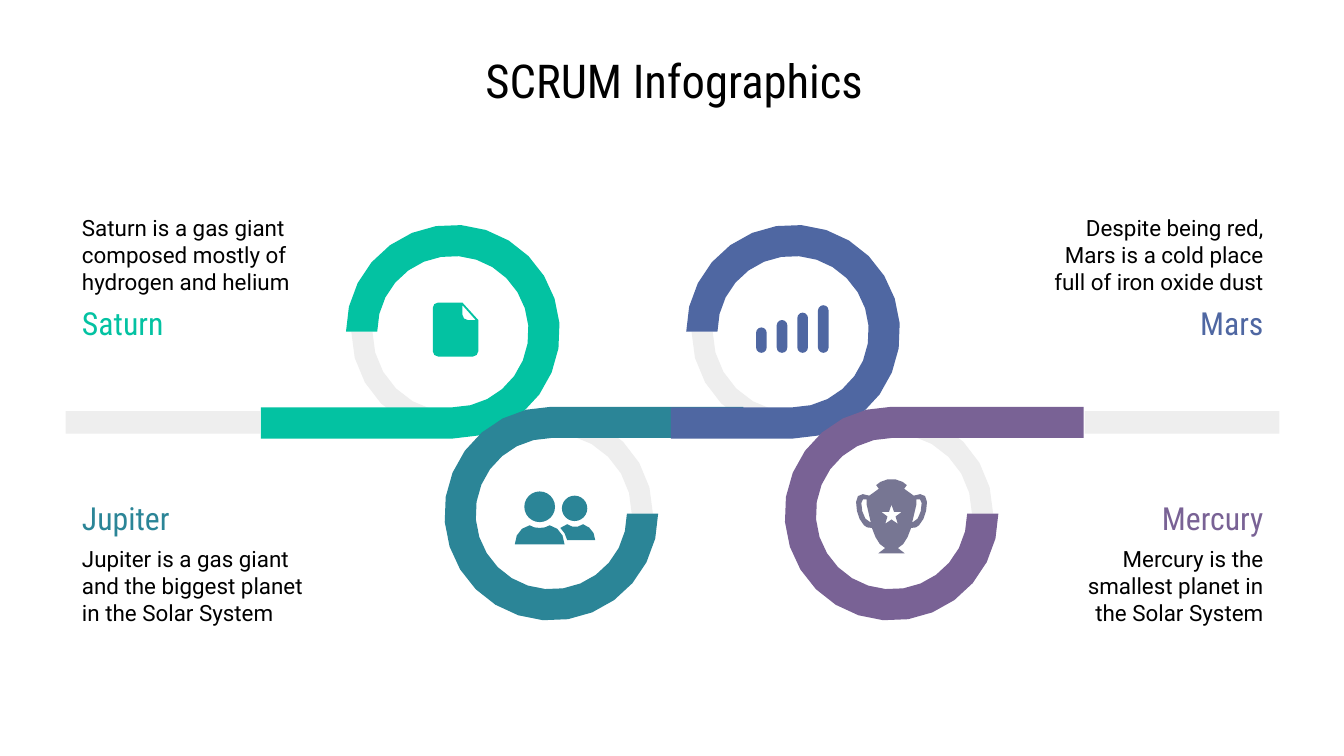
from dataclasses import dataclass
from math import cos, radians, sin

from pptx import Presentation
from pptx.dml.color import RGBColor
from pptx.enum.shapes import MSO_SHAPE as Shape
from pptx.enum.text import MSO_ANCHOR as Anchor, PP_ALIGN as Align
from pptx.util import Cm, Pt


@dataclass(frozen=True)
class Theme:
    text: str = "000000"
    track: str = "EEEEEE"
    saturn: str = "03C2A2"
    jupiter: str = "2B8597"
    mars: str = "4F67A2"
    mercury: str = "796295"
    trophy: str = "777693"
    head_font: str = "Roboto Condensed"
    body_font: str = "Roboto"
    title_size: float = 25
    head_size: float = 17
    body_size: float = 12


@dataclass(frozen=True)
class Box:
    """A region of the slide, in centimetres."""
    x: float
    y: float
    w: float
    h: float

    @property
    def centre(self):
        return self.x + self.w / 2, self.y + self.h / 2

    def lengths(self):
        return [Cm(v) for v in (self.x, self.y, self.w, self.h)]


THEME = Theme()
LOOP_R, LOOP_HOLE = 2.02, 1.43
TRACK_R, TRACK_HOLE = 1.92, 1.52


# --- Geometry and drawing helpers ---

def arc(cx, cy, r, start, end, steps):
    angles = [radians(start + (end - start) * i / steps) for i in range(steps + 1)]
    return [(cx + r * cos(a), cy + r * sin(a)) for a in angles]


def curve(a, b, c, d, steps=3):
    """Points along a cubic Bezier curve, without its start."""
    ts = [i / steps for i in range(1, steps + 1)]
    return [tuple((1 - t) ** 3 * p + 3 * t * (1 - t) ** 2 * q
                  + 3 * t * t * (1 - t) * u + t ** 3 * v
                  for p, q, u, v in zip(a, b, c, d)) for t in ts]


def mirror(points):
    return [(-x, y) for x, y in reversed(points)]


def paint(sp, color):
    sp.shadow.inherit = False
    sp.fill.solid()
    sp.fill.fore_color.rgb = RGBColor.from_string(color)
    sp.line.fill.background()


def add_outline(shapes, origin, contours, color):
    """Fill one freeform; contours after the first are holes."""
    ox, oy = origin
    paths = [[(Cm(ox + x), Cm(oy + y)) for x, y in c] for c in contours]
    builder = shapes.build_freeform(*paths[0][0])
    for i, points in enumerate(paths):
        if i:
            builder.move_to(*points[0])
        builder.add_line_segments(points[1:], close=True)
    paint(builder.convert_to_shape(), color)


def add_preset(shapes, kind, box, color):
    sp = shapes.add_shape(kind, *box.lengths())
    paint(sp, color)
    return sp


def write(sp, text, font, size, color, align):
    tf = sp.text_frame
    tf.word_wrap = True
    tf.vertical_anchor = Anchor.MIDDLE
    tf.margin_left = tf.margin_right = tf.margin_top = tf.margin_bottom = Cm(0.25)
    p = tf.paragraphs[0]
    p.alignment = align
    for i, line in enumerate(text.split("\n")):
        if i:
            p.add_line_break()
        r = p.add_run()
        r.text = line
        r.font.name, r.font.size = font, Pt(size)
        r.font.color.rgb = RGBColor.from_string(color)


# --- Icons, each centred in its box ---

def document_icon(shapes, box, color):
    page = (arc(-0.28, -0.45, 0.1, 180, 270, 2) + [(0.18, -0.55), (0.48, -0.22)]
            + arc(0.38, 0.37, 0.1, 0, 90, 2) + arc(-0.28, 0.37, 0.1, 90, 180, 2))
    fold = [(0.18, -0.5), (0.43, -0.22)] + arc(0.28, -0.32, 0.1, 90, 180, 2)
    add_outline(shapes, box.centre, [page, fold], color)


def people_icon(shapes, box, color):
    cx, cy = box.centre
    for x, y, r in ((-0.22, -0.13, 0.29), (0.44, -0.1, 0.24)):
        add_preset(shapes, Shape.OVAL, Box(cx + x - r, cy + y - r, 2 * r, 2 * r), color)
    shoulder = [(0, 0.27), (0.1, 0.26), (0.19, 0.22)] \
        + curve((0.19, 0.22), (0.35, 0.25), (0.47, 0.4), (0.47, 0.58))
    add_outline(shapes, (cx - 0.22, cy), [shoulder + mirror(shoulder[1:])], color)
    behind = ([(0.17, 0.27), (0.25, 0.37), (0.3, 0.5), (0.83, 0.5)]
              + curve((0.83, 0.5), (0.83, 0.36), (0.73, 0.24), (0.6, 0.2))
              + curve((0.6, 0.2), (0.5, 0.27), (0.4, 0.27), (0.3, 0.2)))
    add_outline(shapes, (cx, cy), [behind], color)


def bars_icon(shapes, box, color):
    cx, cy = box.centre
    for i in range(4):
        height = 0.48 + 0.14 * i
        bar = Box(cx - 0.7 + 0.39 * i, cy + 0.4 - height, 0.2, height)
        add_preset(shapes, Shape.ROUNDED_RECTANGLE, bar, color).adjustments[0] = 0.5


def trophy_icon(shapes, box, color):
    half = ([(0.07, -0.65), (0.21, -0.6), (0.29, -0.54), (0.24, -0.47), (0.42, -0.34)]
            + curve((0.42, -0.34), (0.55, -0.4), (0.67, -0.37), (0.67, -0.22))
            + curve((0.67, -0.22), (0.67, -0.05), (0.62, 0.12), (0.52, 0.22))
            + [(0.46, 0.26), (0.37, 0.27)]
            + curve((0.37, 0.27), (0.31, 0.46), (0.23, 0.61), (0.12, 0.65))
            + [(0.25, 0.75)])
    handle = ([(0.47, -0.27), (0.54, -0.27), (0.57, -0.2)]
              + curve((0.57, -0.2), (0.57, -0.05), (0.52, 0.14), (0.39, 0.17))
              + [(0.47, -0.17)])
    star = [arc(0, 0.03, 0.08 if i % 2 else 0.2, 36 * i - 90, 0, 1)[0] for i in range(10)]
    add_outline(shapes, box.centre, [half + mirror(half), handle, mirror(handle), star], color)


# --- Regions ---

def add_title(slide, box, text):
    sp = slide.shapes.title
    sp.left, sp.top, sp.width, sp.height = box.lengths()
    write(sp, text, THEME.head_font, THEME.title_size, THEME.text, Align.CENTER)


def add_track(shapes, box, loops):
    """Grey end bars and the grey quarter that completes each loop."""
    for x in (box.x, box.x + box.w - 3.68):
        add_preset(shapes, Shape.RECTANGLE, Box(x, box.y, 3.68, box.h), THEME.track)
    for loop, upper in loops:
        start = 90 if upper else 270
        quarter = (arc(0, 0, TRACK_R, start, start + 90, 6)
                   + arc(0, 0, TRACK_HOLE, start + 90, start, 6))
        add_outline(shapes, loop.centre, [quarter], THEME.track)


def add_loop(shapes, box, upper, tail, color, icon, icon_color):
    """Three-quarter ring with a tail; the lower one is turned half round."""
    start, side = (180, 1) if upper else (0, -1)
    ring = (arc(0, 0, LOOP_R, start, start + 270, 20)
            + [(-side * tail, side * LOOP_R), (-side * tail, side * LOOP_HOLE)]
            + arc(0, 0, LOOP_HOLE, start + 270, start, 20))
    add_outline(shapes, box.centre, [ring], color)
    icon(shapes, box, icon_color)


def add_caption(shapes, box, upper, right, name, text, color):
    """Name on the side nearest the track, description on the far side."""
    align = Align.RIGHT if right else Align.LEFT
    name_w, name_h, text_h = 4.09, 1.35, 2.11
    name_x = box.x + (box.w - name_w if right else 0)
    name_y = box.y + (box.h - name_h if upper else 0)
    text_y = box.y + (0 if upper else box.h - text_h)
    sp = shapes.add_textbox(*Box(box.x, text_y, box.w, text_h).lengths())
    write(sp, text, THEME.body_font, THEME.body_size, THEME.text, align)
    sp = shapes.add_textbox(*Box(name_x, name_y, name_w, name_h).lengths())
    write(sp, name, THEME.head_font, THEME.head_size, color, align)


def main():
    # name, description, colour, upper, right, tail, icon, icon colour
    planets = [
        ("Saturn", "Saturn is a gas giant composed mostly of hydrogen and helium",
         THEME.saturn, True, False, 3.63, document_icon, THEME.saturn),
        ("Jupiter", "Jupiter is a gas giant and the biggest planet in the Solar System",
         THEME.jupiter, False, False, 3.63, people_icon, THEME.jupiter),
        ("Mars", "Despite being red, Mars is a cold place full of iron oxide dust",
         THEME.mars, True, True, 2.31, bars_icon, THEME.mars),
        ("Mercury", "Mercury is the smallest planet in\nthe Solar System",
         THEME.mercury, False, True, 3.63, trophy_icon, THEME.trophy),
    ]
    prs = Presentation()
    prs.slide_width, prs.slide_height = Cm(25.4), Cm(14.29)
    slide = prs.slides.add_slide(prs.slide_layouts[5])
    shapes = slide.shapes
    add_title(slide, Box(1.35, 0.84, 22.78, 1.35), "SCRUM Infographics")

    loops = [(Box(6.54 + 6.43 * right + (0 if upper else 1.86),
                  4.25 if upper else 7.69, 2 * LOOP_R, 2 * LOOP_R), upper)
             for _, _, _, upper, right, *_ in planets]
    add_track(shapes, Box(1.24, 7.77, 22.94, 0.43), loops)
    for (loop, _), planet in zip(loops, planets):
        name, text, color, upper, right, tail, icon, icon_color = planet
        add_loop(shapes, loop, upper, tail, color, icon, icon_color)
        box = Box(19.28 if right else 1.3, 3.76 if upper else 9.12, 4.85, 3.01)
        add_caption(shapes, box, upper, right, name, text, color)
    prs.save("out.pptx")


if __name__ == "__main__":
    main()
